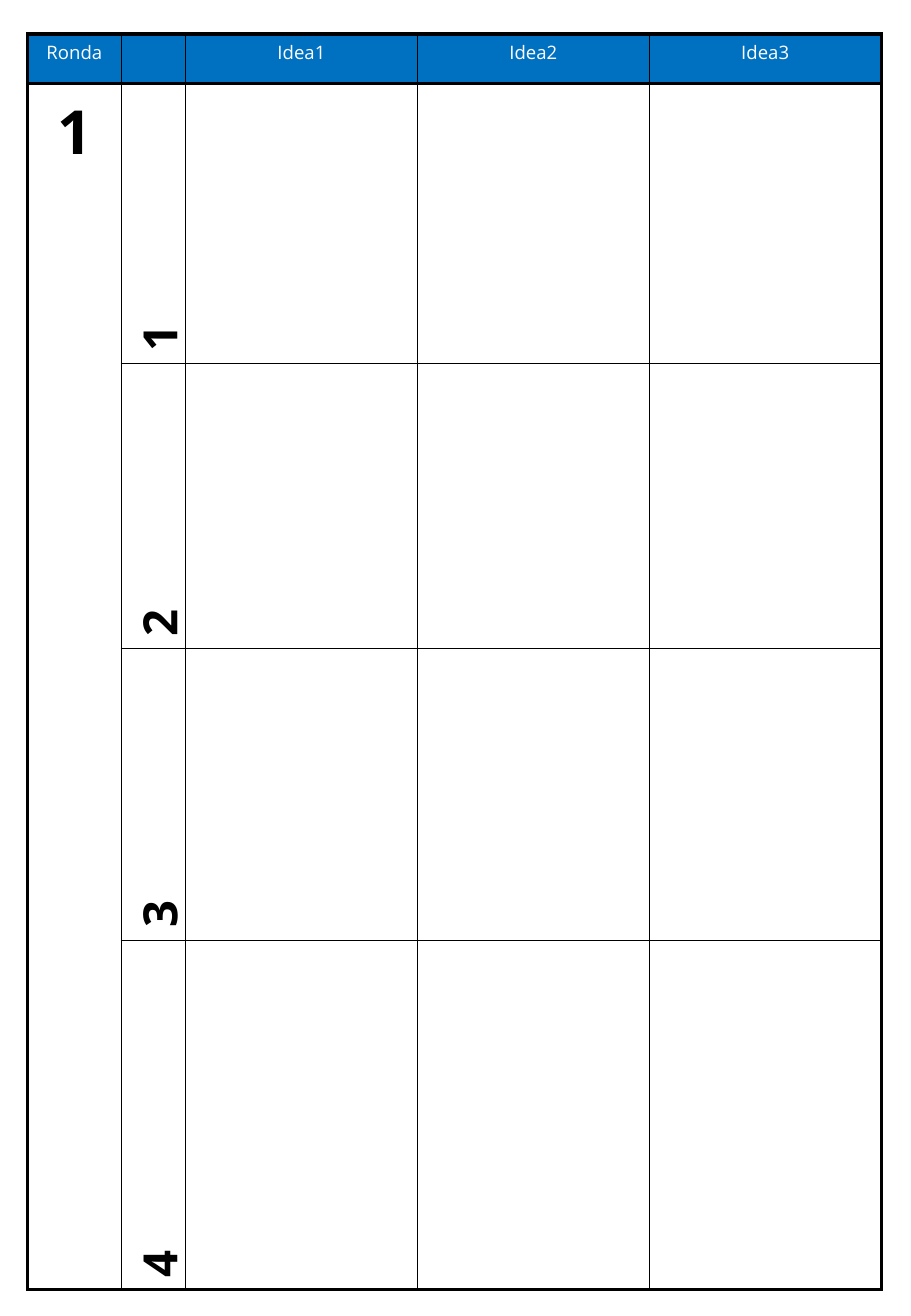
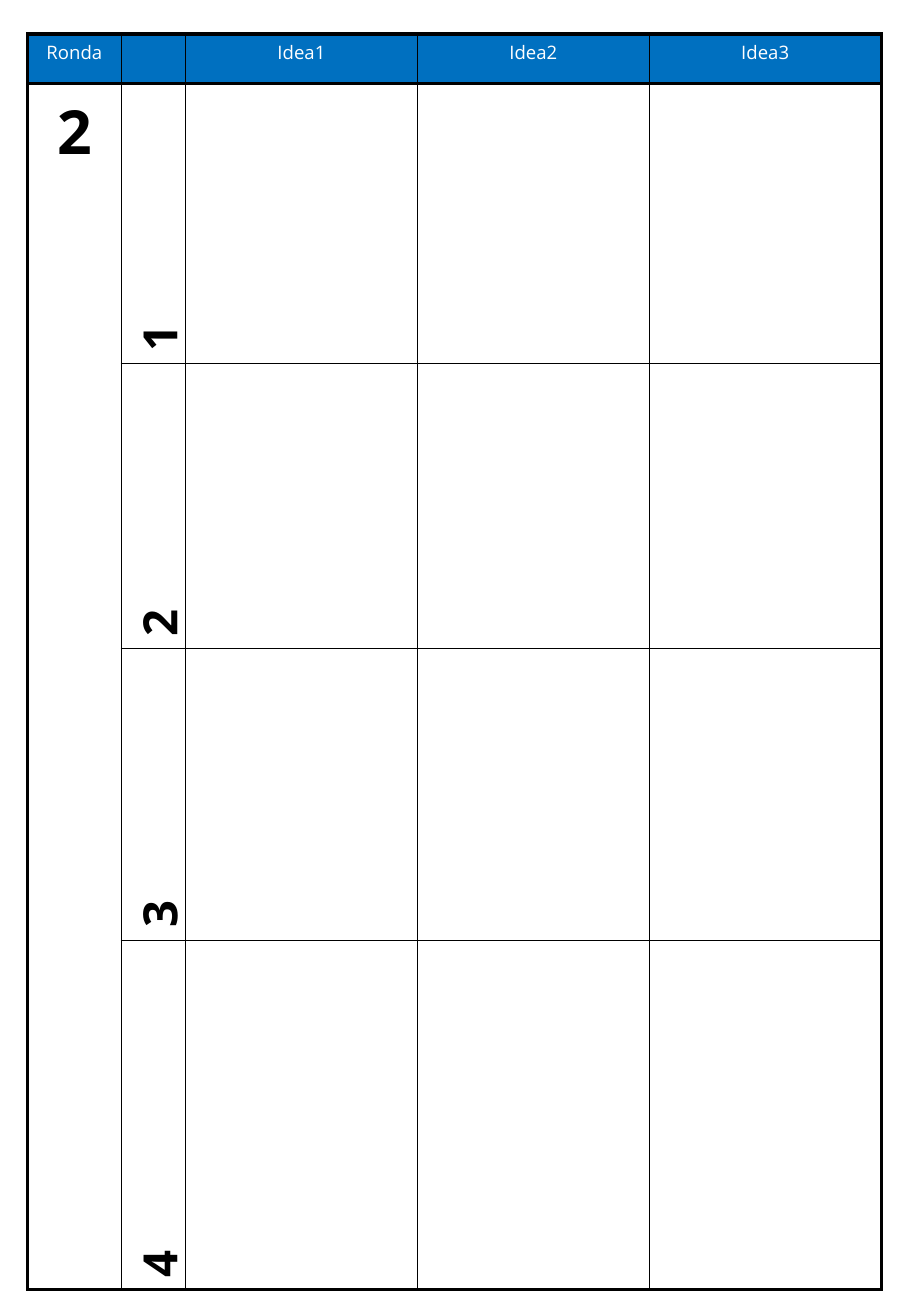
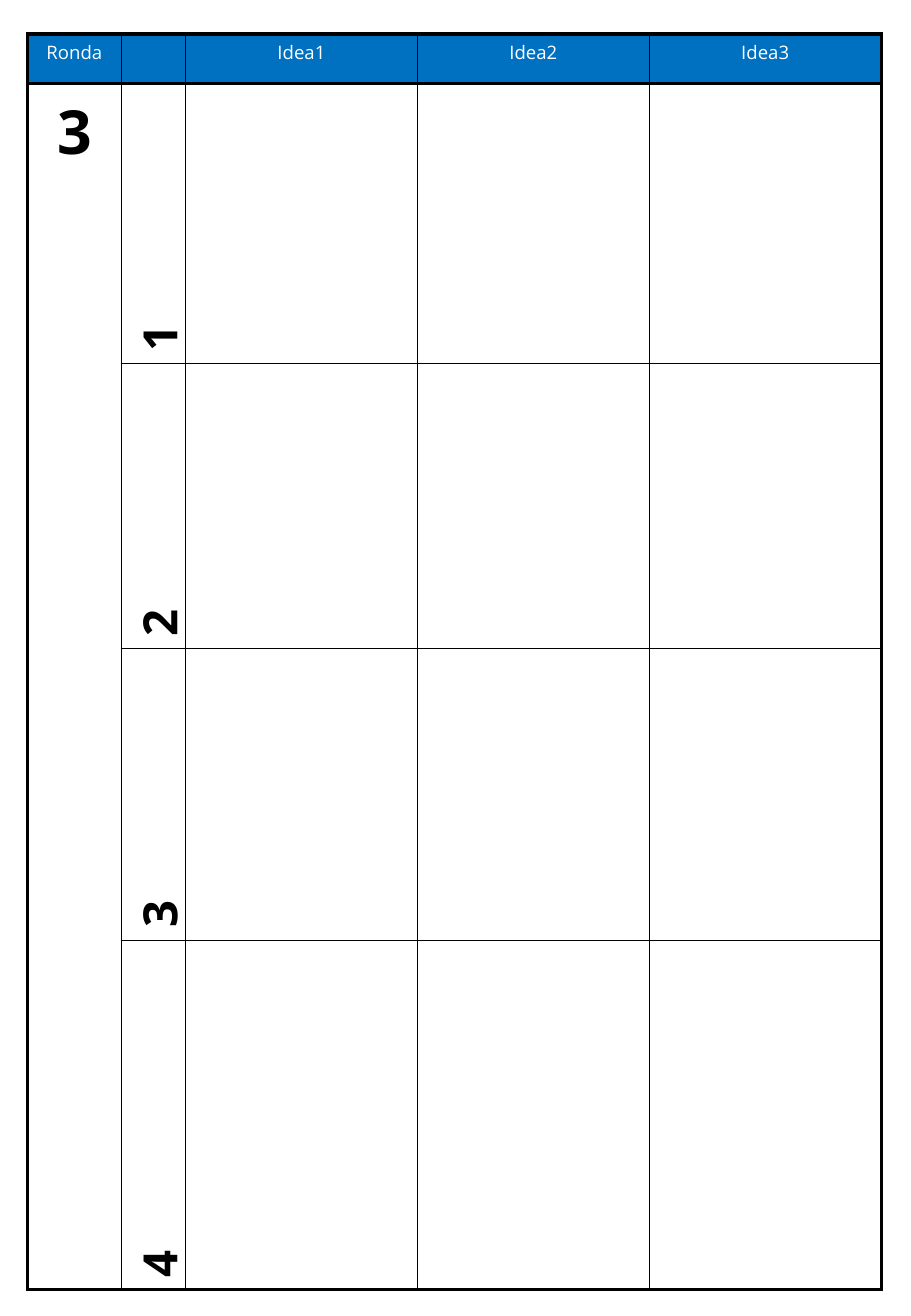
from lxml import etree
from pptx import Presentation
from pptx.dml.color import RGBColor
from pptx.enum.text import PP_ALIGN
from pptx.oxml.ns import qn
from pptx.util import Cm, Pt

FONT = "Open Sans"
BLUE, BLACK, WHITE = "0070C0", "000000", "FFFFFF"
THICK, THIN, HAIR = 2.25, 0.5, 0.25

HEADINGS = ["Ronda", "", "Idea1", "Idea2", "Idea3"]
COLUMNS = [1.95, 1.35, 4.85, 4.85, 4.85]
ROWS = [1.04, 5.85, 5.95, 6.1, 7.3]
ROUNDS = 3


def color(hex_value):
    """Turn a hex string into a colour."""
    return RGBColor.from_string(hex_value)


def write(cell, text, size, ink, bold=False, align=PP_ALIGN.CENTER):
    """Put one styled line of text in a cell; an empty cell keeps only its size."""
    paragraph = cell.text_frame.paragraphs[0]
    paragraph.alignment = align
    if not text:
        etree.SubElement(paragraph._p, qn("a:endParaRPr"), sz=str(size * 100))
        return
    run = paragraph.add_run()
    run.text = text
    run.font.name, run.font.size, run.font.bold = FONT, Pt(size), bold
    run.font.color.rgb = color(ink)


def set_borders(cell, widths):
    """Draw black borders; widths maps the sides L, R, T, B to points."""
    properties = cell._tc.get_or_add_tcPr()
    for side, width in widths.items():
        line = etree.SubElement(properties, qn(f"a:ln{side}"), w=str(Pt(width)))
        fill = etree.SubElement(line, qn("a:solidFill"))
        etree.SubElement(fill, qn("a:srgbClr"), val=BLACK)


def border_widths(row, column):
    """Thick frame and header rule, thin lines between the other cells."""
    last_row, last_column = len(ROWS) - 1, len(COLUMNS) - 1
    inner = THIN if row else HAIR
    # The round cell spans every body row, so it has no lines inside.
    round_cell = column == 0 and row == 1
    return {
        "L": THICK if column == 0 else inner,
        "R": THICK if column == last_column else inner,
        "T": THICK if row <= 1 else THIN,
        "B": THICK if row in (0, last_row) or round_cell else THIN,
    }


def idea_table(slide, left, top, round_number):
    """Place the idea sheet of one round with its top left corner at left, top."""
    table = slide.shapes.add_table(
        len(ROWS), len(COLUMNS), Cm(left), Cm(top), Cm(sum(COLUMNS)), Cm(sum(ROWS))
    ).table
    table.first_row = table.horz_banding = False
    for column, width in zip(table.columns, COLUMNS):
        column.width = Cm(width)
    for row, height in zip(table.rows, ROWS):
        row.height = Cm(height)
    table.cell(1, 0).merge(table.cell(len(ROWS) - 1, 0))

    for r in range(len(ROWS)):
        for c, heading in enumerate(HEADINGS):
            cell = table.cell(r, c)
            set_borders(cell, border_widths(r, c))
            cell.fill.solid()
            cell.fill.fore_color.rgb = color(WHITE if r else BLUE)
            if r == 0:
                write(cell, heading, 11, WHITE)
            elif c == 1:
                write(cell, str(r), 28, BLACK, True, PP_ALIGN.LEFT)
                cell._tc.get_or_add_tcPr().set("vert", "vert270")
    write(table.cell(1, 0), str(round_number), 36, BLACK, True)


def main():
    """Build one sheet per round."""
    deck = Presentation()
    deck.slide_width, deck.slide_height = Cm(19.05), Cm(27.51)
    for round_number in range(1, ROUNDS + 1):
        slide = deck.slides.add_slide(deck.slide_layouts[6])
        idea_table(slide, 0.58, 0.71, round_number)
    deck.save("out.pptx")


main()
